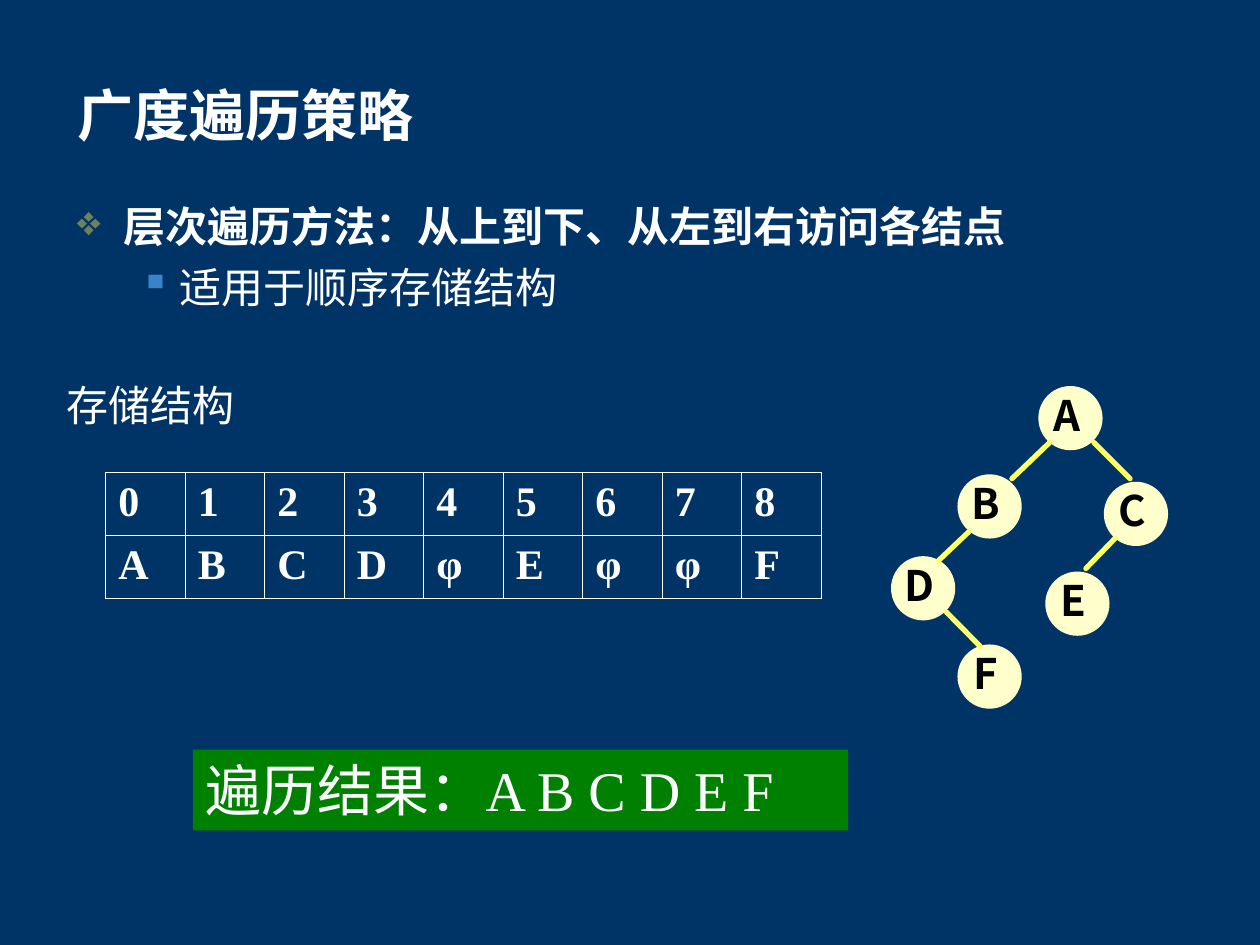
from dataclasses import dataclass
from typing import Optional

from lxml import etree
from pptx import Presentation
from pptx.dml.color import RGBColor
from pptx.enum.shapes import MSO_CONNECTOR, MSO_SHAPE
from pptx.enum.text import MSO_ANCHOR, PP_ALIGN
from pptx.oxml.ns import qn
from pptx.util import Cm, Pt

STRAIGHT = MSO_CONNECTOR.STRAIGHT
OVAL = MSO_SHAPE.OVAL
RECTANGLE = MSO_SHAPE.RECTANGLE
TOP, MIDDLE = MSO_ANCHOR.TOP, MSO_ANCHOR.MIDDLE
LEFT, CENTER = PP_ALIGN.LEFT, PP_ALIGN.CENTER

NAVY = RGBColor(0x00, 0x33, 0x66)
WHITE = RGBColor(0xFF, 0xFF, 0xFF)
BLACK = RGBColor(0x00, 0x00, 0x00)
CREAM = RGBColor(0xFF, 0xFF, 0xCC)
YELLOW = RGBColor(0xFF, 0xFF, 0x66)
GREEN = RGBColor(0x00, 0x80, 0x00)
OLIVE = RGBColor(0x6E, 0x81, 0x5B)
BLUE = RGBColor(0x39, 0x84, 0xC9)

SANS, SERIF, CJK = "DejaVu Sans", "Times New Roman", "Noto Sans CJK SC"
NODE_SIZE = 1.26
STORAGE = ["012345678", "ABCDφEφφF"]


@dataclass
class Node:
    letter: str
    center_x: float
    center_y: float


@dataclass
class Edge:
    start_x: float
    start_y: float
    end_x: float
    end_y: float


@dataclass
class Bullet:
    character: str
    color: RGBColor
    level: int
    margin: float
    hanging: float


NODES = [
    Node("A", 21.58, 8.43),
    Node("B", 19.95, 10.21),
    Node("C", 22.9, 10.36),
    Node("D", 18.61, 11.86),
    Node("E", 21.72, 12.17),
    Node("F", 19.95, 13.64),
]
EDGES = [
    Edge(21.16, 8.92, 20.4, 9.65),
    Edge(22.05, 8.92, 22.78, 9.65),
    Edge(19.53, 10.72, 18.92, 11.3),
    Edge(22.48, 10.85, 21.89, 11.46),
    Edge(19.08, 12.34, 19.76, 13.03),
]
MAIN_BULLET = Bullet("❖", OLIVE, 0, 0.95, 0.95)
SUB_BULLET = Bullet("▪", BLUE, 1, 2.06, 0.79)


def add_color(parent, color: RGBColor) -> None:
    etree.SubElement(parent, qn("a:srgbClr"), val=str(color))


def set_bullet(paragraph, bullet: Bullet) -> None:
    paragraph.level = bullet.level
    properties = paragraph._p.get_or_add_pPr()
    properties.set("marL", str(Cm(bullet.margin)))
    properties.set("indent", str(-Cm(bullet.hanging)))
    add_color(etree.SubElement(properties, qn("a:buClr")), bullet.color)
    etree.SubElement(properties, qn("a:buChar"), char=bullet.character)


def write(paragraph, text: str, *, font: str = SERIF, size: float = 24,
          color: RGBColor = WHITE, bold: bool = False, align=LEFT,
          bullet: Optional[Bullet] = None) -> None:
    if bullet:
        set_bullet(paragraph, bullet)
    paragraph.alignment = align
    run = paragraph.add_run()
    run.text = text
    run.font.name = font
    run.font.size = Pt(size)
    run.font.bold = bold
    run.font.color.rgb = color


def add_text_box(slide, left: float, top: float, width: float, height: float,
                 wrap: bool = True):
    """Add an empty text box and return its text frame."""
    box = slide.shapes.add_textbox(Cm(left), Cm(top), Cm(width), Cm(height))
    box.text_frame.word_wrap = wrap
    return box.text_frame


def add_filled_shape(slide, kind, left: float, top: float, width: float,
                     height: float, fill: RGBColor):
    shape = slide.shapes.add_shape(kind, Cm(left), Cm(top), Cm(width), Cm(height))
    shape.shadow.inherit = False
    shape.fill.solid()
    shape.fill.fore_color.rgb = fill
    shape.line.fill.background()
    return shape


def add_node(slide, node: Node) -> None:
    circle = add_filled_shape(slide, OVAL, node.center_x - NODE_SIZE / 2,
                              node.center_y - NODE_SIZE / 2,
                              NODE_SIZE, NODE_SIZE, CREAM)
    circle.line.color.rgb = CREAM
    circle.line.width = Pt(1)
    frame = circle.text_frame
    frame.word_wrap = False
    frame.vertical_anchor = MIDDLE
    frame.margin_left = frame.margin_top = 0
    frame.margin_right = frame.margin_bottom = Cm(0.15)
    write(frame.paragraphs[0], node.letter, font=CJK, color=BLACK, bold=True,
          align=CENTER)


def add_edge(slide, edge: Edge) -> None:
    connector = slide.shapes.add_connector(
        STRAIGHT, Cm(edge.start_x), Cm(edge.start_y), Cm(edge.end_x), Cm(edge.end_y))
    connector.line.color.rgb = YELLOW
    connector.line.width = Pt(3)
    connector.line._get_or_add_ln().set("cap", "rnd")
    etree.SubElement(connector._element.spPr, qn("a:effectLst"))


def set_cell_borders(cell, color: RGBColor, width: float) -> None:
    properties = cell._tc.get_or_add_tcPr()
    for position, side in enumerate(("lnL", "lnR", "lnT", "lnB")):
        border = etree.Element(qn(f"a:{side}"), w=str(Pt(width)))
        add_color(etree.SubElement(border, qn("a:solidFill")), color)
        properties.insert(position, border)


def add_storage_table(slide) -> None:
    table = slide.shapes.add_table(len(STORAGE), len(STORAGE[0]), Cm(2.13), Cm(9.53),
                                   Cm(14.43), Cm(2.54)).table
    table.first_row = table.horz_banding = False
    for row, values in enumerate(STORAGE):
        for column, value in enumerate(values):
            cell = table.cell(row, column)
            cell.fill.background()
            set_cell_borders(cell, WHITE, 0.45)
            write(cell.text_frame.paragraphs[0], value, bold=True)


def main() -> None:
    presentation = Presentation()
    presentation.slide_width, presentation.slide_height = Cm(25.4), Cm(19.05)
    slide = presentation.slides.add_slide(presentation.slide_layouts[5])
    slide.background.fill.solid()
    slide.background.fill.fore_color.rgb = NAVY

    title = slide.shapes.title
    title.left, title.top, title.width, title.height = Cm(1.3), Cm(1.52), Cm(21.39), Cm(1.57)
    title.text_frame.vertical_anchor = MIDDLE
    write(title.text_frame.paragraphs[0], "广度遍历策略", font=SANS, size=32, bold=True)

    body = add_text_box(slide, 1.3, 3.91, 22.83, 3.68)
    write(body.paragraphs[0], "层次遍历方法：从上到下、从左到右访问各结点",
          font=SANS, bold=True, bullet=MAIN_BULLET)
    detail = body.add_paragraph()
    write(detail, "适用于顺序存储结构", font="Arial", bullet=SUB_BULLET)
    detail.space_before = Pt(6)

    for node in NODES:
        add_node(slide, node)
    for edge in EDGES:
        add_edge(slide, edge)

    caption = add_text_box(slide, 1.09, 7.52, 3.89, 1.27, wrap=False)
    write(caption.paragraphs[0], "存储结构")
    add_storage_table(slide)

    result = add_filled_shape(slide, RECTANGLE, 3.89, 15.11, 13.21, 1.63, GREEN)
    result.text_frame.vertical_anchor = TOP
    write(result.text_frame.paragraphs[0], "遍历结果：A B C D E F", size=32)

    presentation.save("out.pptx")


if __name__ == "__main__":
    main()
